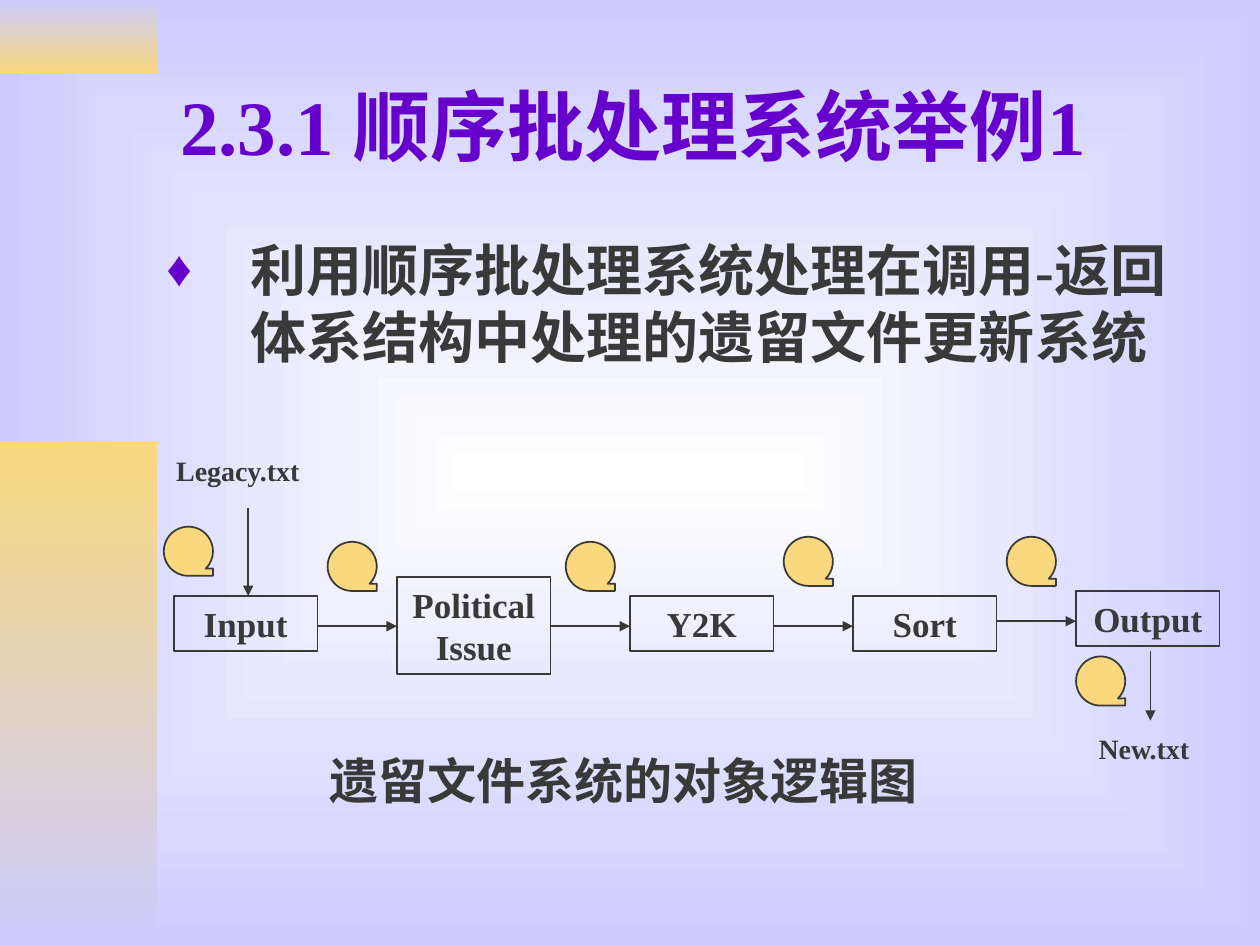
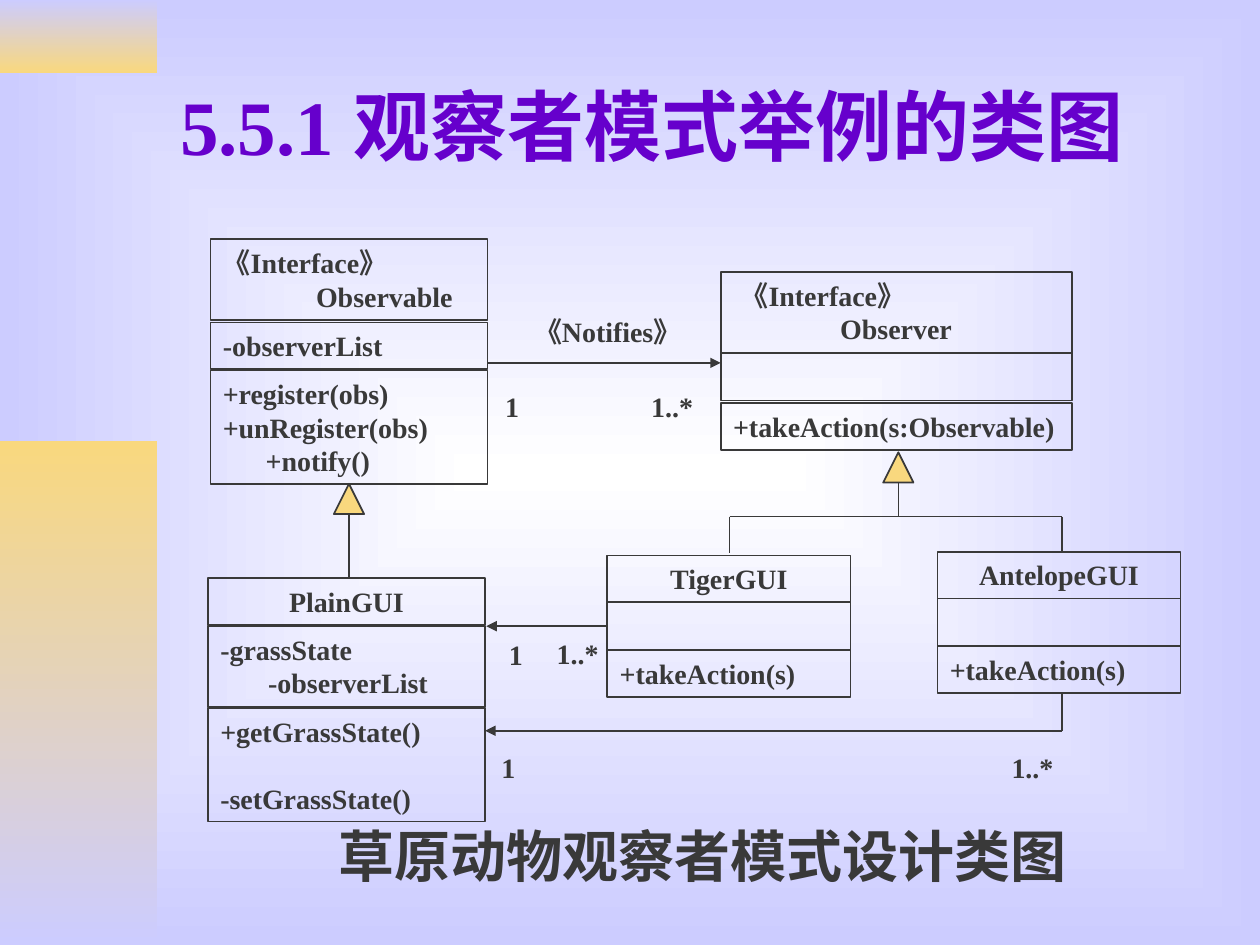
from lxml import etree
from pptx import Presentation
from pptx.dml.color import RGBColor
from pptx.enum.shapes import MSO_CONNECTOR, MSO_SHAPE
from pptx.enum.text import MSO_ANCHOR, MSO_AUTO_SIZE, PP_ALIGN
from pptx.oxml.ns import qn
from pptx.util import Pt

PX = 9144
FONT = "Times New Roman"
INK = "393939"
PURPLE = "6600CC"
GOLD = "F9D87E"
LAVENDER = "CCCCFF"
WHITE = "FFFFFF"
LEFT, CENTER = PP_ALIGN.LEFT, PP_ALIGN.CENTER
RECTANGLE = MSO_SHAPE.RECTANGLE
TAPE = MSO_SHAPE.FLOWCHART_SEQUENTIAL_ACCESS_STORAGE
TRIANGLE = MSO_SHAPE.FLOWCHART_EXTRACT
STRAIGHT = MSO_CONNECTOR.STRAIGHT
color = RGBColor.from_string


def write(frame, lines, size, ink=INK, alignment=LEFT, anchor=MSO_ANCHOR.TOP, wrap=True):
    frame.auto_size = MSO_AUTO_SIZE.NONE
    frame.word_wrap = wrap
    frame.vertical_anchor = anchor
    for index, (text, indent, space_before) in enumerate(lines):
        paragraph = frame.add_paragraph() if index else frame.paragraphs[0]
        paragraph.alignment = alignment
        paragraph.line_spacing = Pt(size * 1.2)
        paragraph.space_before = Pt(space_before)
        properties = paragraph.element.get_or_add_pPr() if hasattr(paragraph, "element") else paragraph._p.get_or_add_pPr()
        properties.set("marL", str(indent * PX))
        properties.set("indent", "0")
        run = paragraph.add_run()
        run.text = text
        run.font.name = FONT
        run.font.size = Pt(size)
        run.font.bold = True
        run.font.color.rgb = color(ink)


def fill_gradient(fill, first, last):
    fill.gradient()
    for stop, tone in zip(fill.gradient_stops, (first, last)):
        stop.color.rgb = color(tone)


flow_boxes = [
    (138, 473, 114, 44, CENTER, [("Input", 0, 0)]),
    (315, 458, 122, 77, CENTER, [("Political Issue", 0, 0)]),
    (500, 473, 114, 44, CENTER, [("Y2K", 0, 0)]),
    (677, 473, 114, 44, CENTER, [("Sort", 0, 0)]),
    (854, 469, 114, 44, CENTER, [("Output", 0, 0)]),
]
flow_lines = [(197, 403, 197, 473, True), (913, 517, 913, 572, True)]
for left, y in ((252, 497), (437, 497), (614, 497), (791, 493)):
    flow_lines.append((left, y, left + 63, y, True))

class_boxes = [
    (167, 190, 220, 64, LEFT, [("《Interface》", 0, 0), ("Observable", 74, 0)]),
    (167, 256, 220, 37, LEFT, [("-observerList", 0, 0)]),
    (167, 294, 220, 90, LEFT,
     [("+register(obs)", 0, 0), ("+unRegister(obs)", 0, 0), ("+notify()", 34, 0)]),
    (572, 216, 279, 64, LEFT, [("《Interface》", 6, 0), ("Observer", 85, 0)]),
    (572, 280, 279, 38, LEFT, []),
    (572, 320, 279, 37, LEFT, [("+takeAction(s:Observable)", 0, 0)]),
    (165, 459, 220, 37, CENTER, [("PlainGUI", 0, 0)]),
    (165, 497, 220, 64, LEFT, [("-grassState", 0, 0), ("-observerList", 38, 0)]),
    (165, 562, 220, 90, LEFT, [("+getGrassState()", 0, 0), ("-setGrassState()", 0, 19)]),
]
for name, left, top in (("TigerGUI", 482, 441), ("AntelopeGUI", 744, 438)):
    class_boxes += [
        (left, top, 193, 37, CENTER, [(name, 0, 0)]),
        (left, top + 37, 193, 38, LEFT, []),
        (left, top + 75, 193, 37, LEFT, [("+takeAction(s)", 0, 0)]),
    ]

pages = [
    {
        "title": "2.3.1 顺序批处理系统举例1",
        "body": "利用顺序批处理系统处理在调用-返回体系结构中处理的遗留文件更新系统",
        "body_box": (122, 182, 850, 173),
        "bullet": True,
        "boxes": flow_boxes,
        "box_size": 20,
        "symbol": (TAPE, 39),
        "symbol_places": [(130, 418), (260, 430), (449, 430), (622, 426), (799, 426), (854, 521)],
        "lines": flow_lines,
        "labels": [
            (130, 355, 142, 37, "Legacy.txt", 16),
            (862, 576, 98, 37, "New.txt", 16),
            (252, 591, 492, 57, "遗留文件系统的对象逻辑图", 28),
        ],
    },
    {
        "title": "5.5.1 观察者模式举例的类图",
        "body": "草原动物观察者模式设计类图",
        "body_box": (133, 647, 850, 67),
        "bullet": False,
        "boxes": class_boxes,
        "box_size": 16,
        "symbol": (TRIANGLE, 24),
        "symbol_places": [(265, 384), (701, 359)],
        "lines": [
            (277, 408, 277, 459, False),
            (713, 383, 713, 410, False),
            (579, 410, 843, 410, False),
            (579, 410, 579, 439, False),
            (843, 410, 843, 438, False),
            (387, 288, 572, 288, True),
            (482, 497, 386, 497, True),
            (843, 551, 843, 580, False),
            (843, 580, 385, 580, True),
        ],
        "labels": [
            (414, 245, 147, 37, "《Notifies》", 16),
            (391, 304, 31, 37, "1", 16),
            (507, 304, 53, 37, "1..*", 16),
            (432, 500, 54, 37, "1..*", 16),
            (394, 501, 31, 37, "1", 16),
            (388, 591, 31, 37, "1", 16),
            (793, 591, 54, 37, "1..*", 16),
        ],
    },
]

presentation = Presentation()
presentation.slide_width = 1000 * PX
presentation.slide_height = 750 * PX
master = presentation.slide_master
layout = presentation.slide_layouts[1]
slides = [presentation.slides.add_slide(layout) for page in pages]

fill_gradient(master.background.fill, WHITE, LAVENDER)
gradient = master.element.find(".//" + qn("a:gradFill"))
for linear in gradient.findall(qn("a:lin")):
    gradient.remove(linear)
rectangular = etree.SubElement(gradient, qn("a:path"), {"path": "rect"})
etree.SubElement(rectangular, qn("a:fillToRect"), dict.fromkeys("ltrb", "50000"))

for top, height, first, last in ((0, 58, LAVENDER, GOLD), (350, 400, GOLD, LAVENDER)):
    band = slides[0].shapes.add_shape(RECTANGLE, 0, top * PX, 125 * PX, height * PX)
    band.shadow.inherit = False
    band.line.fill.background()
    fill_gradient(band.fill, first, last)
    band.fill.gradient_angle = 270
    master.shapes.element.insert(2, band.element)

for slide, page in zip(slides, pages):
    title, body = slide.placeholders
    for placeholder, box in ((title, (133, 33, 850, 132)), (body, page["body_box"])):
        placeholder.left, placeholder.top, placeholder.width, placeholder.height = [n * PX for n in box]
    write(title.text_frame, [(page["title"], 0, 0)], 44, PURPLE, anchor=MSO_ANCHOR.MIDDLE)
    write(body.text_frame, [(page["body"], 0, 0)], 32, alignment=LEFT if page["bullet"] else CENTER)
    properties = body.text_frame.paragraphs[0]._p.get_or_add_pPr()
    if page["bullet"]:
        properties.set("marL", str(67 * PX))
        properties.set("indent", str(-67 * PX))
        bullet_color = etree.SubElement(properties, qn("a:buClr"))
        etree.SubElement(bullet_color, qn("a:srgbClr"), val=PURPLE)
        etree.SubElement(properties, qn("a:buSzPct"), val="90000")
        etree.SubElement(properties, qn("a:buFont"), typeface=FONT)
        etree.SubElement(properties, qn("a:buChar"), char="♦")
    else:
        etree.SubElement(properties, qn("a:buNone"))

    for left, top, width, height, alignment, lines in page["boxes"]:
        box = slide.shapes.add_shape(RECTANGLE, left * PX, top * PX, width * PX, height * PX)
        box.shadow.inherit = False
        box.fill.background()
        box.line.color.rgb = color(INK)
        box.line.width = Pt(1)
        write(box.text_frame, lines, page["box_size"], alignment=alignment)

    kind, side = page["symbol"]
    for left, top in page["symbol_places"]:
        symbol = slide.shapes.add_shape(kind, left * PX, top * PX, side * PX, side * PX)
        symbol.shadow.inherit = False
        symbol.fill.solid()
        symbol.fill.fore_color.rgb = color(GOLD)
        symbol.line.color.rgb = color(INK)
        symbol.line.width = Pt(1)

    for start_x, start_y, end_x, end_y, arrow in page["lines"]:
        connector = slide.shapes.add_connector(
            STRAIGHT, start_x * PX, start_y * PX, end_x * PX, end_y * PX)
        connector.line.color.rgb = color(INK)
        connector.line.width = Pt(1)
        shape_properties = connector.element.spPr
        if arrow:
            etree.SubElement(shape_properties.find(qn("a:ln")), qn("a:tailEnd"), type="triangle")
        etree.SubElement(shape_properties, qn("a:effectLst"))

    for left, top, width, height, text, size in page["labels"]:
        label = slide.shapes.add_textbox(left * PX, top * PX, width * PX, height * PX)
        write(label.text_frame, [(text, 0, 0)], size, wrap=False)

presentation.save("out.pptx")
